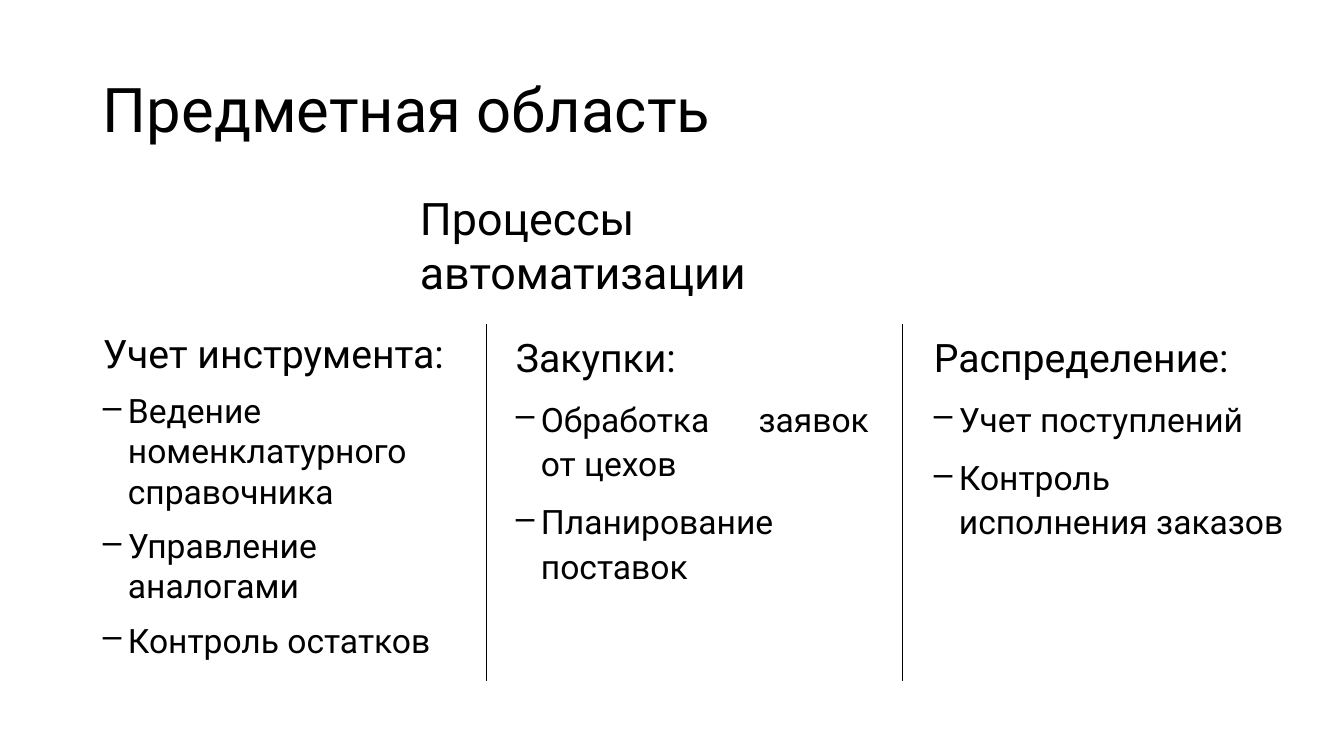
from lxml import etree
from pptx import Presentation, util as u
from pptx.dml.color import RGBColor
from pptx.enum import shapes, text
from pptx.oxml import ns

BLACK = RGBColor(0x00, 0x00, 0x00)
FONT = "Roboto"
EMU_PER_INCH = 914400
PX_PER_INCH = 100.8

COLUMN_TOP, COLUMN_WIDTH, COLUMN_HEIGHT = 324, 373, 357
COLUMNS = [
    (93, 1.0, "Учет инструмента:",
     ["Ведение номенклатурного справочника", "Управление аналогами", "Контроль остатков"]),
    (506, 1.1, "Закупки:", ["Обработка заявок от цехов", "Планирование поставок"]),
    (924, 1.1, "Распределение:", ["Учет поступлений", "Контроль исполнения заказов"]),
]
DIVIDERS = [486, 902]


def px(n):
    return u.Emu(round(n * EMU_PER_INCH / PX_PER_INCH))


def add_text_frame(slide, x, y, w, h):
    tf = slide.shapes.add_textbox(px(x), px(y), px(w), px(h)).text_frame
    tf.word_wrap = True
    return tf


def write(p, words, size):
    p.text = words
    p.font.name = FONT
    p.font.size = u.Pt(size)
    p.font.color.rgb = BLACK


def add_dash(p):
    """Give the paragraph a hanging dash bullet."""
    pPr = p._p.get_or_add_pPr()
    pPr.set("marL", str(px(25)))
    pPr.set("indent", str(-px(25)))
    bullet = etree.Element(ns.qn("a:buChar"), char="–")
    pPr.insert_element_before(bullet, "a:tabLst", "a:defRPr", "a:extLst")


def add_title(slide, x, y, w, h):
    tf = add_text_frame(slide, x, y, w, h)
    tf.vertical_anchor = text.MSO_ANCHOR.MIDDLE
    p = tf.paragraphs[0]
    write(p, "Предметная область", 44)
    p.line_spacing = 0.9


def add_subtitle(slide, x, y, w, h):
    tf = add_text_frame(slide, x, y, w, h)
    tf.auto_size = text.MSO_AUTO_SIZE.SHAPE_TO_FIT_TEXT
    write(tf.paragraphs[0], "Процессы автоматизации", 32)


def add_column(slide, x, y, w, h, spacing, heading, items):
    tf = add_text_frame(slide, x, y, w, h)
    write(tf.paragraphs[0], heading, 28)
    for item in items:
        p = tf.add_paragraph()
        write(p, item, 24)
        add_dash(p)
    for p in tf.paragraphs:
        p.alignment = text.PP_ALIGN.JUSTIFY
        p.line_spacing = spacing
        p.space_before = u.Pt(10)


def add_divider(slide, x, y, h):
    line = slide.shapes.add_connector(
        shapes.MSO_CONNECTOR.STRAIGHT, px(x), px(y), px(x), px(y + h))
    line.line.color.rgb = BLACK
    line.line.width = u.Pt(0.5)
    etree.SubElement(line._element.spPr, ns.qn("a:effectLst"))


def main():
    prs = Presentation()
    prs.slide_width, prs.slide_height = px(1344), px(756)
    slide = prs.slides.add_slide(prs.slide_layouts[6])
    add_title(slide, 93, 40, 1159, 146)
    for x, spacing, heading, items in COLUMNS:
        add_column(slide, x, COLUMN_TOP, COLUMN_WIDTH, COLUMN_HEIGHT, spacing, heading, items)
    add_subtitle(slide, 410, 186, 563, 65)
    for x in DIVIDERS:
        add_divider(slide, x, COLUMN_TOP, COLUMN_HEIGHT)
    prs.save("out.pptx")


if __name__ == "__main__":
    main()
